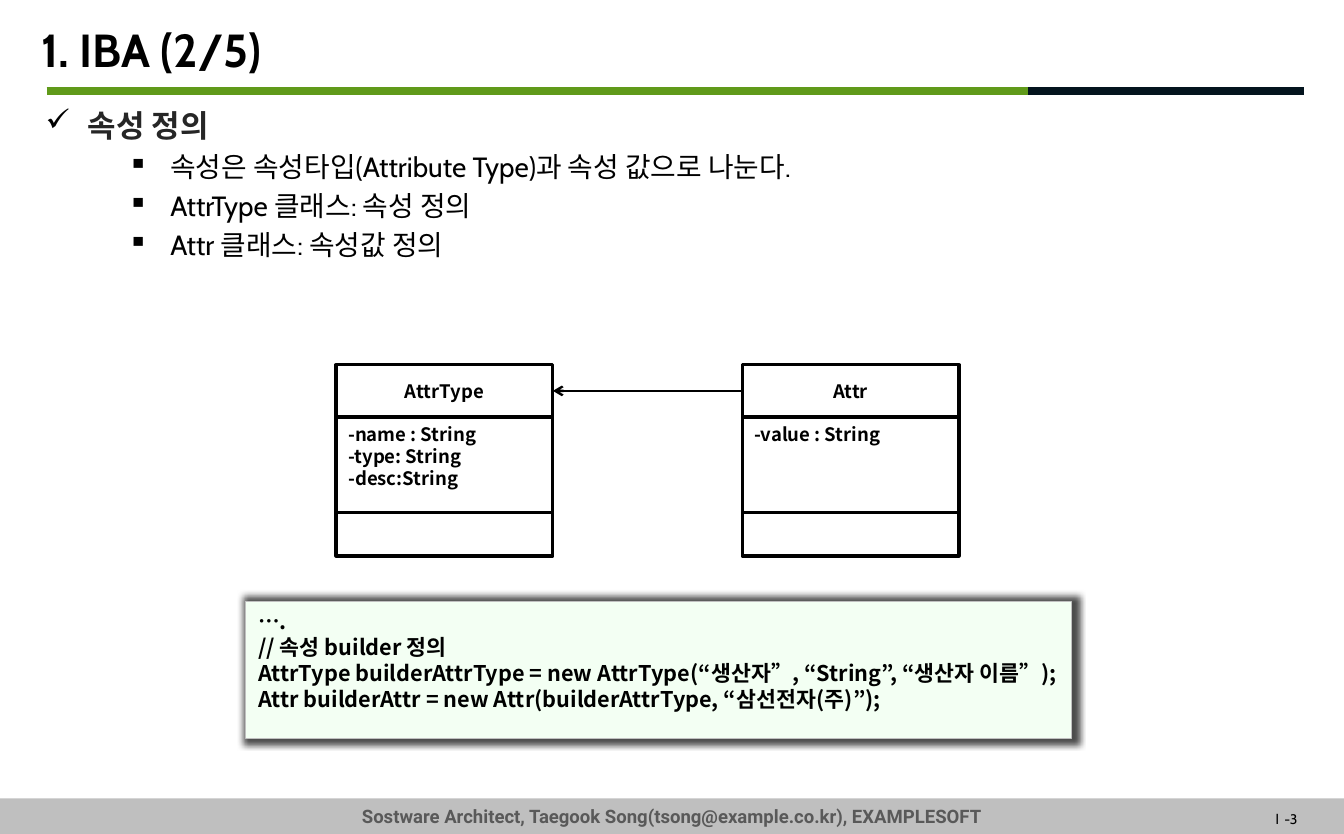
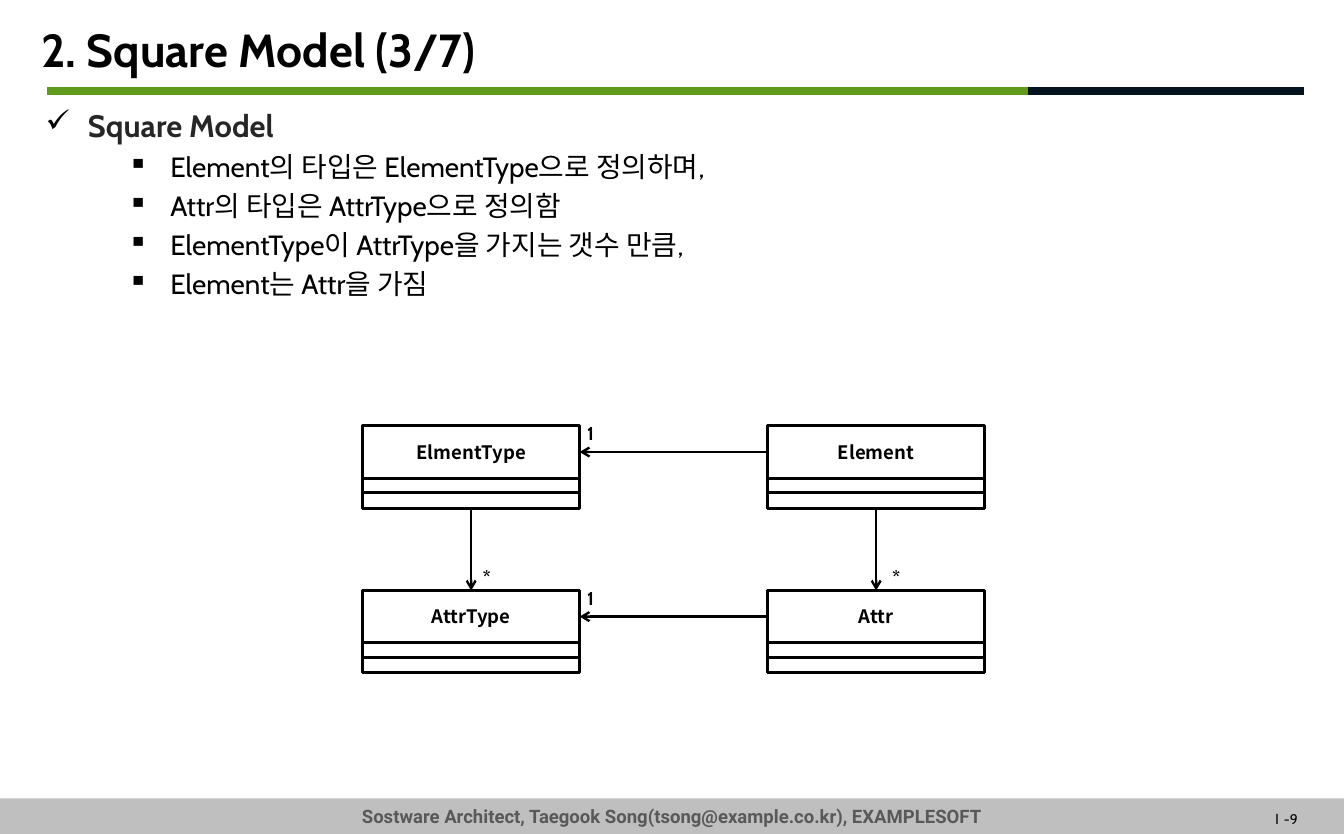
from lxml import etree
from pptx import Presentation
from pptx import util as u
from pptx.dml.color import RGBColor
from pptx.enum import shapes, text
from pptx.oxml import ns

PX = 9144  # 100 px to the inch
WIDTH, HEIGHT = 1208, 750

BLACK = RGBColor(0x00, 0x00, 0x00)
WHITE = RGBColor(0xFF, 0xFF, 0xFF)
GREEN = RGBColor(0x60, 0x9A, 0x1A)
NAVY = RGBColor(0x04, 0x14, 0x1E)
HEADING = RGBColor(0x26, 0x26, 0x26)
BAND = RGBColor(0xBF, 0xBF, 0xBF)
FOOTER = RGBColor(0x59, 0x59, 0x59)
MINT = RGBColor(0xF3, 0xFF, 0xF3)
SILVER = RGBColor(0xC0, 0xC0, 0xC0)

CABIN, NOTO, ROBOTO = "Cabin", "Noto Sans CJK KR", "Roboto"
CENTER = text.PP_ALIGN.CENTER
MIDDLE = text.MSO_ANCHOR.MIDDLE
TOP_SIDE, LEFT_SIDE, BOTTOM_SIDE, RIGHT_SIDE = range(4)
CLASS_WIDTH, NAME_HEIGHT = 195, 47


def px(*lengths):
    return [u.Emu(length * PX) for length in lengths]


def child(parent, tag, **attributes):
    return etree.SubElement(parent, ns.qn(tag), attributes)


def set_frame(shape, insets=(10, 5), anchor=text.MSO_ANCHOR.TOP):
    frame = shape.text_frame
    frame.word_wrap = True
    frame.vertical_anchor = anchor
    frame.margin_left = frame.margin_right = px(insets[0])[0]
    frame.margin_top = frame.margin_bottom = px(insets[1])[0]


def add_box(slide, at, fill, line=None, weight=2):
    box = slide.shapes.add_shape(shapes.MSO_SHAPE.RECTANGLE, *px(*at))
    box.shadow.inherit = False
    box.fill.solid()
    box.fill.fore_color.rgb = fill
    if line is None:
        box.line.fill.background()
    else:
        box.line.color.rgb = line
        box.line.width = u.Pt(weight)
    return box


def add_text(slide, at, **frame):
    box = slide.shapes.add_textbox(*px(*at))
    set_frame(box, **frame)
    return box


def add_para(shape, align=text.PP_ALIGN.LEFT, hang=0, left=0, spacing=None,
             before=0, bullet=None):
    """Use the empty first paragraph, or append one; hang and left are px."""
    frame = shape.text_frame
    para = frame.paragraphs[0]
    if para.runs:
        para = frame.add_paragraph()
    para.alignment = align
    para.space_before = u.Pt(before)
    if spacing:
        para.line_spacing = u.Pt(spacing)
    properties = para._p.get_or_add_pPr()
    if left:
        properties.set("marL", str(left * PX))
        properties.set("indent", str(-hang * PX))
    if bullet:
        color = child(properties, "a:buClr")
        child(color, "a:srgbClr", val=str(BLACK))
        child(properties, "a:buChar", char=bullet)
    return para


def add_span(para, words, size, font=CABIN, color=BLACK, bold=True):
    span = para.add_run()
    span.text = words
    span.font.size = u.Pt(size)
    span.font.name = font
    span.font.bold = bold
    span.font.color.rgb = color
    child(span._r.get_or_add_rPr(), "a:ea", typeface=NOTO)


def add_line(slide, start, end, color, weight):
    line = slide.shapes.add_connector(
        shapes.MSO_CONNECTOR.STRAIGHT, *px(*start, *end))
    line.line.color.rgb = color
    line.line.width = u.Pt(weight)
    child(line._element.spPr, "a:effectLst")
    return line


def add_arrow(slide, source, source_side, target, target_side):
    arrow = add_line(slide, (0, 0), (0, 0), BLACK, 1.5)
    arrow.begin_connect(source, source_side)
    arrow.end_connect(target, target_side)
    child(arrow.line._get_or_add_ln(), "a:tailEnd", type="arrow")


def add_base(deck, title, number):
    """Add a slide with the title, the rule, the footer and the page number."""
    page = deck.slides.add_slide(deck.slide_layouts[6])
    band = add_box(page, (0, 718, WIDTH, 32), BAND)
    set_frame(band, anchor=MIDDLE)
    add_span(add_para(band, CENTER),
             "Sostware Architect, Taegook Song(tsong@example.co.kr), EXAMPLESOFT",
             12, ROBOTO, FOOTER)
    para = add_para(add_text(page, (1100, 724, 108, 26)), CENTER)
    add_span(para, "Ⅰ", 9, NOTO, bold=False)
    add_span(para, f"-{number}", 9, bold=False)
    add_line(page, (42, 82), (964, 82), GREEN, 5)
    add_line(page, (924, 82), (1172, 82), NAVY, 5)
    heading = add_text(page, (37, 13, 1132, 63), insets=(0, 0), anchor=MIDDLE)
    add_span(add_para(heading), title, 30)
    return page


def add_points(slide, heading, points):
    box = add_text(slide, (37, 91, 1111, 45 + 36 * len(points)), insets=(4, 5))
    para = add_para(box, left=38, hang=38, spacing=24.3, before=6, bullet="✓")
    add_span(para, heading, 20, color=HEADING)
    for point in points:
        para = add_para(box, left=112, hang=38, spacing=21.8, before=3.5,
                        bullet="▪")
        add_span(para, point, 18, bold=False)


def add_class(slide, left, top, name, heights, fields=()):
    """Stack name, fields and methods; return the first and last boxes."""
    boxes = []
    for height in (NAME_HEIGHT, *heights):
        boxes.append(add_box(slide, (left, top, CLASS_WIDTH, height),
                             WHITE, BLACK))
        top += height
    set_frame(boxes[0], (11, 5), MIDDLE)
    add_span(add_para(boxes[0], CENTER), name, 12, NOTO)
    set_frame(boxes[1], (11, 5))
    for field in fields:
        para = add_para(boxes[1], left=39, hang=39, spacing=14.5)
        add_span(para, field, 12, NOTO)
    return boxes[0], boxes[-1]


def add_code(slide, at, lines):
    box = add_box(slide, at, MINT, SILVER, 0.75)
    effects = box._element.spPr.find(ns.qn("a:effectLst"))
    shadow = child(effects, "a:outerShdw", blurRad="50800", dist="18288",
                   dir="0", sx="101200", sy="108000", algn="ctr",
                   rotWithShape="0")
    color = child(shadow, "a:srgbClr", val=str(BLACK))
    child(color, "a:alpha", val="70000")
    set_frame(box, (11, 6))
    for line in lines:
        para = add_para(box, left=43, hang=43, spacing=16.8)
        add_span(para, line, 14, NOTO)


def add_label(slide, left, top, words):
    add_span(add_para(add_text(slide, (left, top, 40, 30))), words, 12)


def build_attributes(deck):
    page = add_base(deck, "1. IBA (2/5)", 3)
    add_points(page, "속성 정의", [
        "속성은 속성타입(Attribute Type)과 속성 값으로 나눈다.",
        "AttrType 클래스: 속성 정의",
        "Attr 클래스: 속성값 정의",
    ])
    heights = (86, 39)
    attr_type, _ = add_class(page, 302, 328, "AttrType", heights, [
        "-name : String", "-type: String", "-desc:String"])
    attr, _ = add_class(page, 667, 328, "Attr", heights, ["-value : String"])
    add_arrow(page, attr, LEFT_SIDE, attr_type, RIGHT_SIDE)
    add_code(page, (221, 541, 742, 123), [
        "….",
        "// 속성 builder 정의",
        "AttrType builderAttrType = new AttrType(“생산자”, “String”, “생산자 이름”);",
        "Attr builderAttr = new Attr(builderAttrType, “삼선전자(주)”);",
    ])


def build_square_model(deck):
    page = add_base(deck, "2. Square Model (3/7)", 9)
    add_points(page, "Square Model", [
        "Element의 타입은 ElementType으로 정의하며,",
        "Attr의 타입은 AttrType으로 정의함",
        "ElementType이 AttrType을 가지는 갯수 만큼,",
        "Element는 Attr을 가짐",
    ])
    heights = (13, 14)
    columns = (326, 690)
    rows = []
    for top, names in ((383, ("ElmentType", "Element")),
                       (531, ("AttrType", "Attr"))):
        row = [add_class(page, left, top, name, heights)
               for left, name in zip(columns, names)]
        add_arrow(page, row[1][0], LEFT_SIDE, row[0][0], RIGHT_SIDE)
        add_label(page, 518, top - 8, "1")
        rows.append(row)
    for upper, lower, left in zip(*rows, (424, 792)):
        add_arrow(page, upper[1], BOTTOM_SIDE, lower[0], TOP_SIDE)
        add_label(page, left, 504, "*")


def main():
    deck = Presentation()
    deck.slide_width, deck.slide_height = px(WIDTH, HEIGHT)
    build_attributes(deck)
    build_square_model(deck)
    deck.save("out.pptx")


if __name__ == "__main__":
    main()
